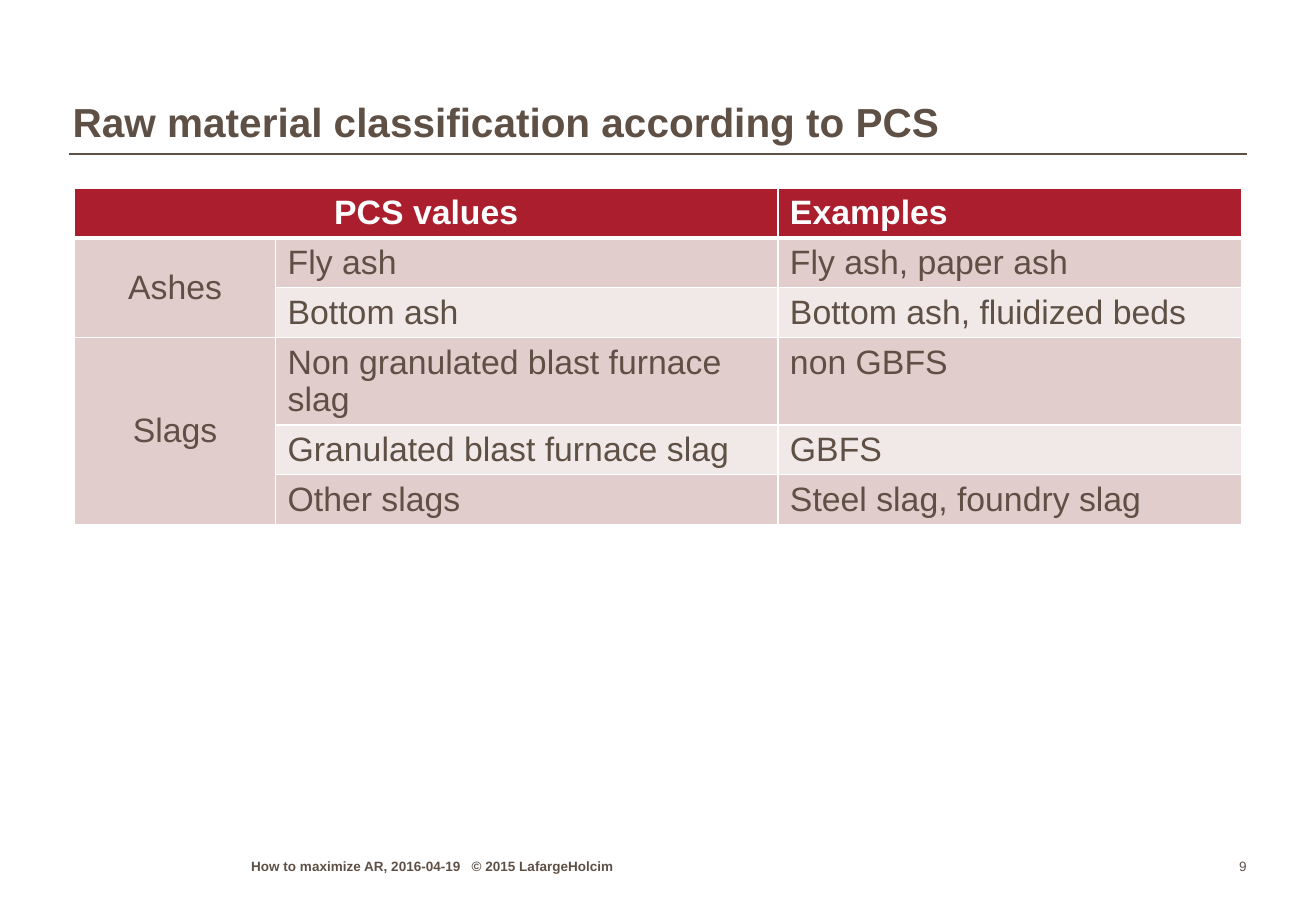
"""Build the slide on raw material classification according to PCS."""
from lxml import etree
from pptx import Presentation
from pptx import util as u
from pptx.dml import color
from pptx.enum import shapes, text
from pptx.oxml import ns

COLOURS = {
    "text": "5F5046",
    "white": "FFFFFF",
    "header": "AA1E2D",
    "dark_band": "E2CDCD",
    "light_band": "F1E8E8",
}
ROWS = [
    ("PCS values", "", "Examples"),
    ("Ashes", "Fly ash", "Fly ash, paper ash"),
    ("", "Bottom ash", "Bottom ash, fluidized beds"),
    ("Slags", "Non granulated blast furnace slag", "non GBFS"),
    ("", "Granulated blast furnace slag", "GBFS"),
    ("", "Other slags", "Steel slag, foundry slag"),
]
COLUMN_WIDTHS = (4.2, 10.5, 9.7)
ROW_HEIGHT = 1.04
MERGES = [((0, 0), (0, 1)), ((1, 0), (2, 0)), ((3, 0), (5, 0))]


def rgb(name):
    """Return the named colour."""
    return color.RGBColor.from_string(COLOURS[name])


def style_font(paragraph, size, bold=False, colour="text"):
    """Set the font of a whole paragraph."""
    font = paragraph.font
    font.name = "Arial"
    font.size = u.Pt(size)
    font.bold = bold
    font.color.rgb = rgb(colour)


def fill_frame(frame, words, size, bold=False, align=text.PP_ALIGN.LEFT):
    """Write one bottom-anchored paragraph into a frame without insets."""
    frame.margin_left = frame.margin_right = 0
    frame.margin_top = frame.margin_bottom = 0
    frame.vertical_anchor = text.MSO_ANCHOR.BOTTOM
    frame.auto_size = text.MSO_AUTO_SIZE.NONE
    frame.word_wrap = True
    paragraph = frame.paragraphs[0]
    paragraph.text = words
    paragraph.alignment = align
    style_font(paragraph, size, bold)
    return paragraph


def place_title(slide, words):
    """Move and format the title placeholder."""
    title = slide.shapes.title
    title.left, title.top = u.Cm(1.52), u.Cm(0.71)
    title.width, title.height = u.Cm(24.61), u.Cm(2.36)
    paragraph = fill_frame(title.text_frame, words, 24, bold=True)
    paragraph.line_spacing = 0.95


def add_rule(slide, left, right, top):
    """Draw the horizontal rule below the title."""
    rule = slide.shapes.add_connector(
        shapes.MSO_CONNECTOR.STRAIGHT, u.Cm(left), u.Cm(top), u.Cm(right), u.Cm(top))
    rule.line.color.rgb = rgb("text")
    rule.line.width = u.Pt(1)
    etree.SubElement(rule.element.spPr, ns.qn("a:effectLst"))


def add_footer(slide, left, width, words, tab=None, **style):
    """Add a text box on the footer line, with an optional tab stop."""
    box = slide.shapes.add_textbox(u.Cm(left), u.Cm(17.83), u.Cm(width), u.Cm(0.46))
    if tab:
        properties = box.text_frame.paragraphs[0]._p.get_or_add_pPr()
        tabs = etree.SubElement(properties, ns.qn("a:tabLst"))
        etree.SubElement(tabs, ns.qn("a:tab"), pos=str(u.Cm(tab)), algn="l")
    fill_frame(box.text_frame, words, 8, **style)


def add_borders(cell, bottom):
    """Give a cell white borders, with its own bottom width."""
    properties = cell._tc.get_or_add_tcPr()
    for side, width in (("L", 1), ("R", 1), ("T", 1), ("B", bottom)):
        line = etree.SubElement(properties, ns.qn(f"a:ln{side}"), w=str(u.Pt(width)))
        fill = etree.SubElement(line, ns.qn("a:solidFill"))
        etree.SubElement(fill, ns.qn("a:srgbClr"), val=COLOURS["white"])


def format_cell(cell, words, row, column):
    """Fill, border and label one cell by its place in the table."""
    header = row == 0
    banded = row % 2 == 0 and column > 0
    band = "header" if header else "light_band" if banded else "dark_band"
    add_borders(cell, 3 if header else 1)
    cell.fill.solid()
    cell.fill.fore_color.rgb = rgb(band)
    paragraph = cell.text_frame.paragraphs[0]
    paragraph.text = words
    style_font(paragraph, 20, header, "white" if header else "text")
    if column == 0:
        paragraph.alignment = text.PP_ALIGN.CENTER
        if not header:
            cell.vertical_anchor = text.MSO_ANCHOR.MIDDLE


def add_classification(slide):
    """Add the table of PCS values and examples."""
    table = slide.shapes.add_table(
        len(ROWS), len(COLUMN_WIDTHS), u.Cm(1.56), u.Cm(3.93),
        u.Cm(sum(COLUMN_WIDTHS)), u.Cm(ROW_HEIGHT * len(ROWS))).table
    for column, width in zip(table.columns, COLUMN_WIDTHS):
        column.width = u.Cm(width)
    for row, labels in enumerate(ROWS):
        table.rows[row].height = u.Cm(ROW_HEIGHT)
        for column, words in enumerate(labels):
            format_cell(table.cell(row, column), words, row, column)
    for first, last in MERGES:
        table.cell(*first).merge(table.cell(*last))


def main():
    """Build and save the deck."""
    deck = Presentation()
    deck.slide_width, deck.slide_height = u.Cm(27.51), u.Cm(19.05)
    slide = deck.slides.add_slide(deck.slide_layouts[5])
    add_rule(slide, 1.45, 26.06, 3.22)
    place_title(slide, "Raw material classification according to PCS")
    add_classification(slide)
    add_footer(slide, 5.25, 8.82, "How to maximize AR, 2016-04-19\t© 2015 LafargeHolcim",
               tab=4.61, bold=True)
    add_footer(slide, 24.87, 1.19, "9", align=text.PP_ALIGN.RIGHT)
    deck.save("out.pptx")


if __name__ == "__main__":
    main()
